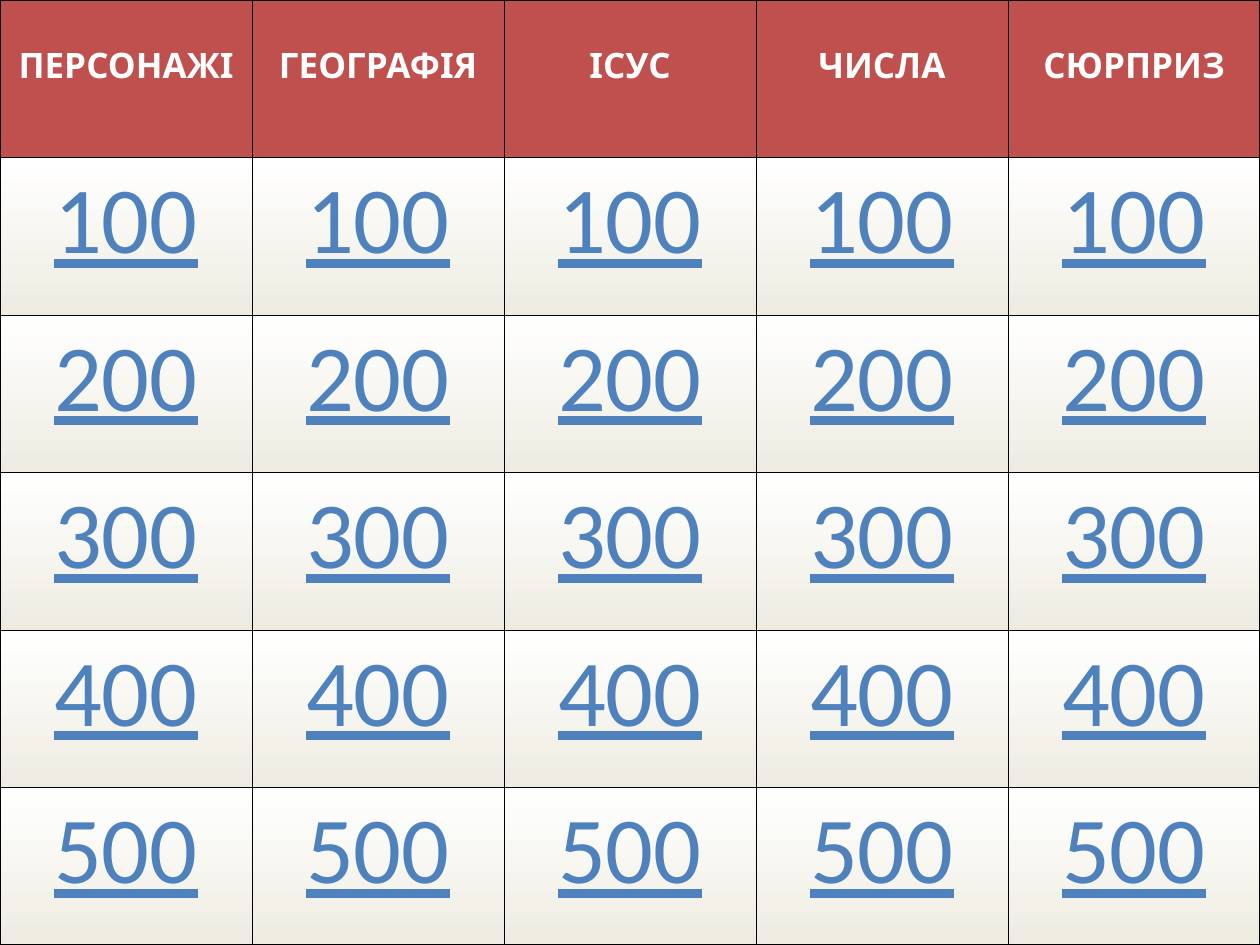
from dataclasses import dataclass

from lxml.etree import SubElement
from pptx import Presentation
from pptx.dml.color import RGBColor
from pptx.enum.text import PP_ALIGN
from pptx.oxml.ns import qn
from pptx.util import Inches, Pt


@dataclass(frozen=True)
class Theme:
    header_fill: str = "C0504D"
    value_top: str = "FFFFFF"
    value_bottom: str = "EEECE1"
    border: str = "000000"
    outer_border: float = 1.08
    inner_border: float = 0.45


THEME = Theme()
HEADER_FONT = {"name": "Comic Neue", "size": Pt(20), "bold": True, "underline": False}
VALUE_FONT = {"name": "Calibri", "size": Pt(54), "bold": False, "underline": True}
HEADER_COLOR, VALUE_COLOR = "FFFFFF", "4F81BD"
HEADER_TOP, VALUE_TOP = Inches(0.37), Inches(0.05)

CATEGORIES = ["ПЕРСОНАЖІ", "ГЕОГРАФІЯ", "ІСУС", "ЧИСЛА", "СЮРПРИЗ"]
POINTS = [100, 200, 300, 400, 500]


def write(cell, text, font_values, color, top):
    cell.margin_top = top
    paragraph = cell.text_frame.paragraphs[0]
    paragraph.alignment = PP_ALIGN.CENTER
    run = paragraph.add_run()
    run.text = text
    for attribute, value in font_values.items():
        setattr(run.font, attribute, value)
    run.font.color.rgb = RGBColor.from_string(color)


def draw_borders(cell, outer_sides):
    """Thick lines on the board's edge, thin ones inside; call before filling."""
    properties = cell._tc.get_or_add_tcPr()
    for side in ("L", "R", "T", "B"):
        width = THEME.outer_border if side in outer_sides else THEME.inner_border
        line = SubElement(properties, qn(f"a:ln{side}"), w=str(Pt(width)))
        fill = SubElement(line, qn("a:solidFill"))
        SubElement(fill, qn("a:srgbClr"), val=THEME.border)


def fill_header(cell):
    cell.fill.solid()
    cell.fill.fore_color.rgb = RGBColor.from_string(THEME.header_fill)


def fill_value(cell):
    cell.fill.gradient()
    cell.fill.gradient_angle = 270  # top to bottom
    for stop, color in zip(cell.fill.gradient_stops, (THEME.value_top, THEME.value_bottom)):
        stop.color.rgb = RGBColor.from_string(color)


def add_game_board(slide, left, top, width, height):
    rows, columns = len(POINTS) + 1, len(CATEGORIES)
    board = slide.shapes.add_table(rows, columns, left, top, width, height).table
    board.horz_banding = False
    for column in board.columns:
        column.width = width // columns
    for row in board.rows:
        row.height = height // rows

    for r in range(rows):
        for c, category in enumerate(CATEGORIES):
            cell = board.cell(r, c)
            edges = {"L": c == 0, "R": c == columns - 1, "T": r == 0, "B": r == rows - 1}
            draw_borders(cell, [side for side, is_outer in edges.items() if is_outer])
            if r == 0:  # category header
                fill_header(cell)
                write(cell, category, HEADER_FONT, HEADER_COLOR, HEADER_TOP)
            else:  # question value
                fill_value(cell)
                write(cell, str(POINTS[r - 1]), VALUE_FONT, VALUE_COLOR, VALUE_TOP)


def main():
    deck = Presentation()
    deck.slide_width, deck.slide_height = Inches(10), Inches(7.5)
    slide = deck.slides.add_slide(deck.slide_layouts[6])
    add_game_board(slide, 0, 0, deck.slide_width, deck.slide_height)
    deck.save("out.pptx")


if __name__ == "__main__":
    main()
